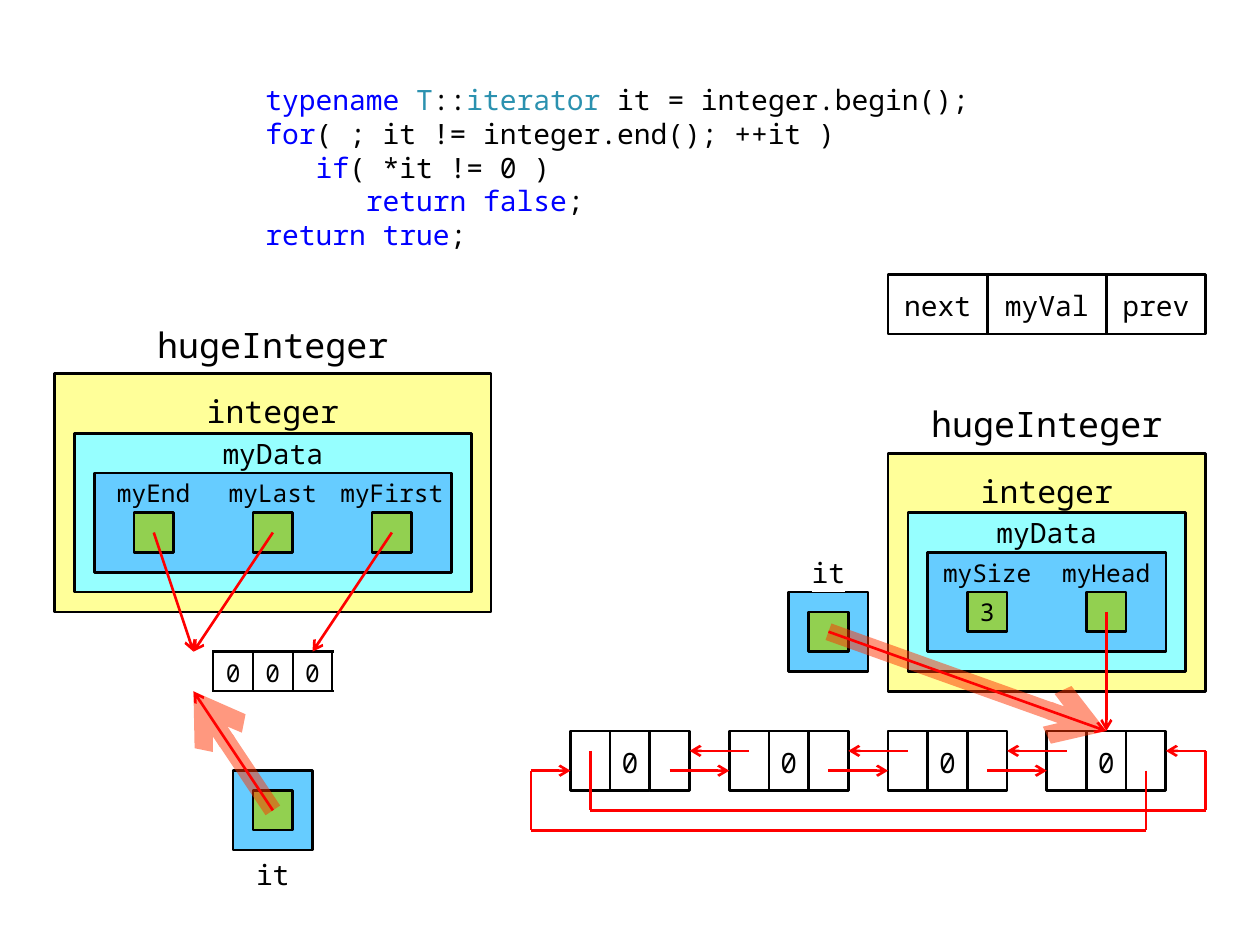
from lxml import etree
from pptx import Presentation
from pptx.dml.color import RGBColor
from pptx.enum.shapes import MSO_CONNECTOR, MSO_SHAPE
from pptx.enum.text import MSO_ANCHOR, PP_ALIGN
from pptx.oxml.ns import qn
from pptx.util import Pt

RECT, PROCESS = MSO_SHAPE.RECTANGLE, MSO_SHAPE.FLOWCHART_PROCESS
STRAIGHT = MSO_CONNECTOR.STRAIGHT
TOP, MIDDLE, CENTER = MSO_ANCHOR.TOP, MSO_ANCHOR.MIDDLE, PP_ALIGN.CENTER

BLACK = RGBColor(0x00, 0x00, 0x00)
YELLOW = RGBColor(0xFF, 0xFF, 0x99)
CYAN = RGBColor(0x96, 0xFF, 0xFF)
SKY = RGBColor(0x66, 0xCC, 0xFF)
GREEN = RGBColor(0x92, 0xD0, 0x50)
RED = RGBColor(0xFF, 0x00, 0x00)
ORANGE = RGBColor(0xFF, 0x33, 0x00)
KEYWORD = RGBColor(0x00, 0x00, 0xFF)
TYPE = RGBColor(0x2B, 0x91, 0xAF)
FONT = "Noto Sans Mono"

# Everything sits on a square grid
UNIT, LEFT, TOP_EDGE = 11.34, 8.5, 43.5

prs = Presentation()
prs.slide_width, prs.slide_height = Pt(720), Pt(540)
s = prs.slides.add_slide(prs.slide_layouts[6])


def box(col, row, w, h, kind=None, fill=None, text="", size=16,
        top=3.6, bottom=3.6, anchor=MIDDLE):
    """Outlined shape, or a plain text box when kind is None."""
    area = (Pt(LEFT + col * UNIT), Pt(TOP_EDGE + row * UNIT),
            Pt(w * UNIT), Pt(h * UNIT))
    if kind is None:
        sp = s.shapes.add_textbox(*area)
    else:
        sp = s.shapes.add_shape(kind, *area)
        sp.shadow.inherit = False
        sp.line.color.rgb = BLACK
        sp.line.width = Pt(1.5)
        if fill is None:
            sp.fill.background()
        else:
            sp.fill.solid()
            sp.fill.fore_color.rgb = fill
    tf = sp.text_frame
    tf.word_wrap = True
    tf.vertical_anchor = anchor
    tf.margin_left = tf.margin_right = Pt(3)
    tf.margin_top, tf.margin_bottom = Pt(top), Pt(bottom)
    if text:
        p = tf.paragraphs[0]
        p.alignment = CENTER
        r = p.add_run()
        r.text = text
        r.font.name, r.font.size = FONT, Pt(size)
        r.font.color.rgb = BLACK
    return sp


def line(x1, y1, x2, y2, head=True, color=RED, width=1.5, alpha=None):
    """Straight line between two grid points."""
    c = s.shapes.add_connector(
        STRAIGHT, Pt(LEFT + x1 * UNIT), Pt(TOP_EDGE + y1 * UNIT),
        Pt(LEFT + x2 * UNIT), Pt(TOP_EDGE + y2 * UNIT))
    c.line.color.rgb = color
    c.line.width = Pt(width)
    ln = c.line._ln
    if alpha:
        etree.SubElement(ln.find(".//" + qn("a:srgbClr")), qn("a:alpha"),
                         val=str(alpha * 1000))
    if head:
        etree.SubElement(ln, qn("a:tailEnd"), type="arrow")
    etree.SubElement(c._element.spPr, qn("a:effectLst"))


# Code
code = [
    [("typename ", KEYWORD), ("T", TYPE), ("::", BLACK), ("iterator", TYPE),
     (" it = integer.begin();", BLACK)],
    [("for", KEYWORD), ("( ; it != integer.end(); ++it )", BLACK)],
    [("   ", BLACK), ("if", KEYWORD), ("( *it != 0 )", BLACK)],
    [("      ", BLACK), ("return false", KEYWORD), (";", BLACK)],
    [("return true", KEYWORD), (";", BLACK)],
]
tf = box(12, 0, 38, 9, anchor=TOP).text_frame
tf.margin_left = tf.margin_right = Pt(7.2)
for i, runs in enumerate(code):
    p = tf.add_paragraph() if i else tf.paragraphs[0]
    p.line_spacing = Pt(19.3)
    for text, color in runs:
        r = p.add_run()
        r.text = text
        r.font.name, r.font.size = FONT, Pt(16)
        r.font.color.rgb = color

# Vector contents
table = s.shapes.add_table(1, 3, Pt(LEFT + 10 * UNIT), Pt(TOP_EDGE + 29 * UNIT),
                           Pt(6 * UNIT), Pt(2 * UNIT)).table
table.first_row = table.horz_banding = False
for cell in table.iter_cells():
    cell.vertical_anchor = MIDDLE
    cell.margin_left = cell.margin_right = Pt(4.3)
    cell.margin_top = cell.margin_bottom = Pt(2.9)
    for side in ("a:lnL", "a:lnR", "a:lnT", "a:lnB"):
        ln = etree.SubElement(cell._tc.get_or_add_tcPr(), qn(side), w=str(Pt(1.5)))
        solid = etree.SubElement(ln, qn("a:solidFill"))
        etree.SubElement(solid, qn("a:srgbClr"), val=str(BLACK))
    cell.fill.background()
    p = cell.text_frame.paragraphs[0]
    p.alignment = CENTER
    r = p.add_run()
    r.text = "0"
    r.font.name, r.font.size = FONT, Pt(14)
    r.font.color.rgb = BLACK

# Node legend
for col, w, name in [(44, 5, "next"), (49, 6, "myVal"), (55, 5, "prev")]:
    box(col, 10, w, 3, RECT, text=name, top=4.3, bottom=2.9)

# Linked nodes
for col in (28, 36, 44, 52):
    for i, value in enumerate(("", "0", "")):
        box(col + 2 * i, 33, 2, 3, RECT, text=value, top=4.3, bottom=2.9)
for col in (28, 36, 44):
    line(col + 9, 34, col + 6, 34)
    line(col + 5, 35, col + 8, 35)

# Links that close the ring
for route in ([(57, 35), (57, 38), (26, 38), (26, 35), (28, 35)],
              [(29, 34), (29, 37), (60, 37), (60, 34), (58, 34)]):
    for i, (start, end) in enumerate(zip(route, route[1:])):
        line(*start, *end, head=i == 3)

# Nested objects: vector on the left, list on the right
for col, row, w, fields in [
        (2, 15, 22, [("myEnd", ""), ("myLast", ""), ("myFirst", "")]),
        (44, 19, 16, [("mySize", "3"), ("myHead", "")])]:
    mid = col + w / 2
    box(col, row, w, 12, PROCESS, YELLOW)
    box(col + 1, row + 3, w - 2, 8, PROCESS, CYAN)
    box(col + 2, row + 5, w - 4, 5, PROCESS, SKY)
    box(mid - 7, row - 3, 14, 3, text="hugeInteger", size=20)
    box(mid - 4, row, 8, 3, text="integer", size=18, top=8.6, bottom=0)
    box(mid - 4, row + 3, 8, 2, text="myData", top=0, bottom=0)
    for i, (name, value) in enumerate(fields):
        x = col + 2 + 6 * i
        box(x, row + 5, 6, 2, text=name, size=14)
        box(x + 2, row + 7, 2, 2, RECT, GREEN, value, 14)

# Member pointers
for ends in [(19, 23, 15, 29), (13, 23, 9, 29), (7, 23, 9, 29), (55, 27, 55, 33)]:
    line(*ends)

# Iterators with their highlighted pointers
for col, row, label_row, anchor, top, bottom, target in [
        (39, 26, 24, MIDDLE, 3.6, 3.6, (55, 33)),
        (11, 35, 39, TOP, 4.3, 0, (9, 31))]:
    box(col, row, 4, 4, PROCESS, SKY)
    box(col + 1, row + 1, 2, 2, RECT, GREEN)
    label = box(col, label_row, 4, 2, text="it", top=top, bottom=bottom, anchor=anchor)
    rpr = label.text_frame.paragraphs[0].runs[0].font._element
    highlight = etree.Element(qn("a:highlight"))
    etree.SubElement(highlight, qn("a:srgbClr"), val="FFFFFF")
    rpr.find(qn("a:solidFill")).addnext(highlight)
    line(col + 2, row + 2, *target, color=ORANGE, width=10, alpha=50)
    line(col + 2, row + 2, *target)

prs.save("out.pptx")
